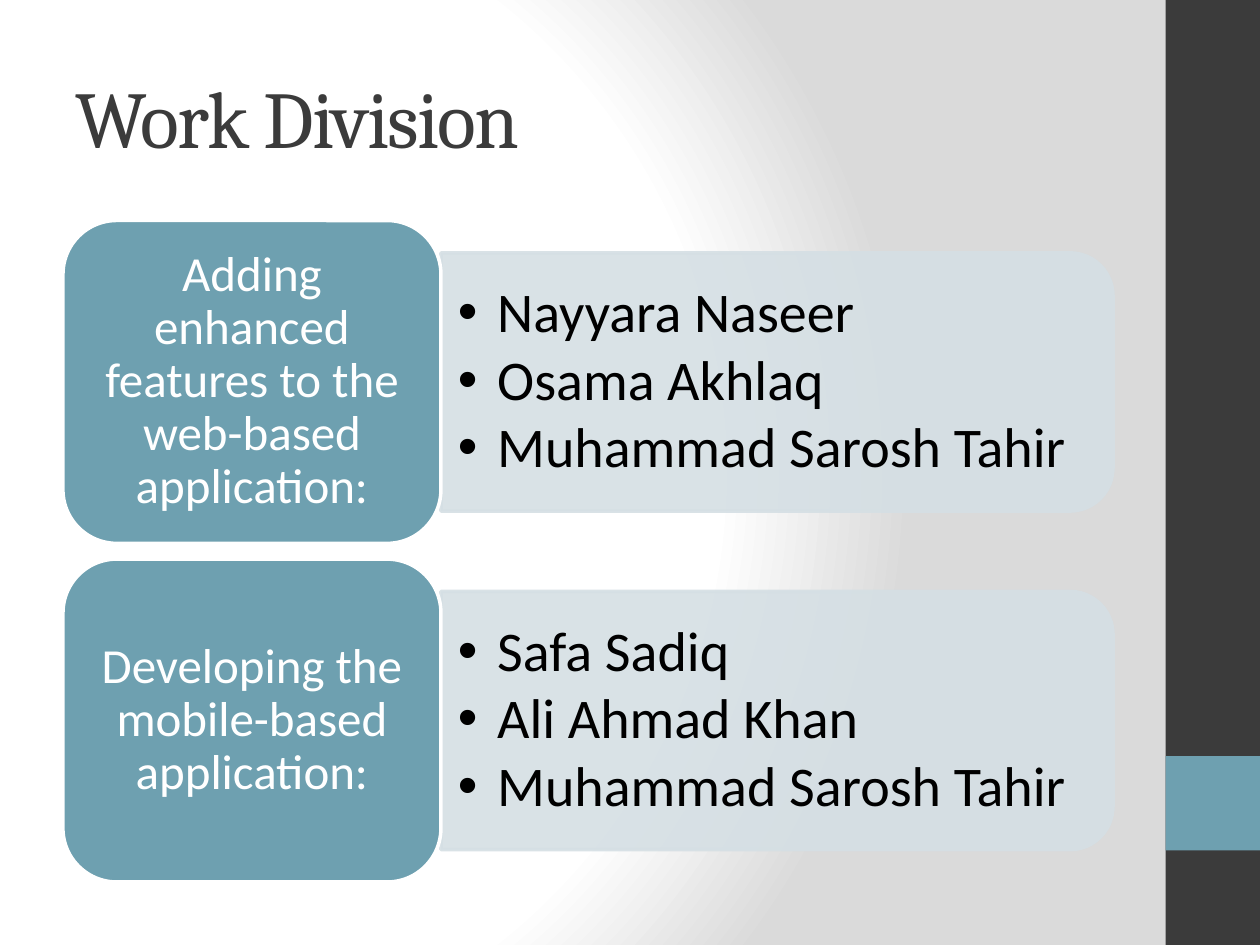
"""Build the Work Division slide."""
from dataclasses import dataclass

from pptx import Presentation
from pptx.dml.color import RGBColor
from pptx.enum.shapes import MSO_SHAPE
from pptx.enum.text import MSO_ANCHOR, MSO_AUTO_SIZE, PP_ALIGN
from pptx.oxml import parse_xml
from pptx.oxml.ns import nsdecls, qn
from pptx.util import Pt

RECTANGLE = MSO_SHAPE.RECTANGLE
ROUNDED = MSO_SHAPE.ROUNDED_RECTANGLE
TOP_ROUNDED = MSO_SHAPE.ROUND_2_SAME_RECTANGLE
MIDDLE = MSO_ANCHOR.MIDDLE
NO_FIT = MSO_AUTO_SIZE.NONE
LEFT = PP_ALIGN.LEFT
CENTER = PP_ALIGN.CENTER

CHARCOAL = RGBColor(0x3B, 0x3B, 0x3B)
TEAL = RGBColor(0x6E, 0xA0, 0xB0)
PALE = RGBColor(0xD5, 0xDF, 0xE4)
SILVER = RGBColor(0xDA, 0xDA, 0xDA)
WHITE = RGBColor(0xFF, 0xFF, 0xFF)
BLACK = RGBColor(0, 0, 0)

PAGE_WIDTH, PAGE_HEIGHT = 720, 540
SIDEBAR_WIDTH = 54
ACCENT_TOP = 432
CARD_LEFT, CARD_TOP = 36, 126
CARD_WIDTH, CARD_HEIGHT = 216, 184.5
CARD_GAP = 9
PANEL_LEFT = CARD_LEFT + CARD_WIDTH
PANEL_WIDTH, PANEL_HEIGHT = 384, 0.8 * CARD_HEIGHT
LIST_WIDTH, LIST_HEIGHT = 376.5, 133
LIST_INDENT = 22.5


@dataclass(frozen=True)
class Task:
    label: str
    members: tuple[str, ...]


TASKS = (
    Task("Adding enhanced features to the web-based application:",
         ("Nayyara Naseer", "Osama Akhlaq", "Muhammad Sarosh Tahir")),
    Task("Developing the mobile-based application:",
         ("Safa Sadiq", "Ali Ahmad Khan", "Muhammad Sarosh Tahir")),
)


def set_background(page) -> None:
    """Fill the page with a circular gradient."""
    stops = "".join(
        f'<a:gs pos="{position * 1000}"><a:srgbClr val="{color}"/></a:gs>'
        for position, color in ((0, WHITE), (75, WHITE), (100, SILVER)))
    page.element.cSld.insert(0, parse_xml(
        f'<p:bg {nsdecls("p", "a")}><p:bgPr><a:gradFill rotWithShape="1">'
        f'<a:gsLst>{stops}</a:gsLst><a:path path="circle">'
        '<a:fillToRect l="20000" t="50000" r="100000" b="50000"/></a:path>'
        '</a:gradFill><a:effectLst/></p:bgPr></p:bg>'))


def place(box, left: float, top: float, width: float, height: float) -> None:
    """Move and size a box."""
    box.left, box.top = Pt(left), Pt(top)
    box.width, box.height = Pt(width), Pt(height)


def add_block(page, kind, left: float, top: float, width: float,
              height: float, fill: RGBColor, line: RGBColor | None = None):
    """Add a flat filled shape with an optional outline."""
    block = page.shapes.add_shape(
        kind, Pt(left), Pt(top), Pt(width), Pt(height))
    block.shadow.inherit = False
    block.fill.solid()
    block.fill.fore_color.rgb = fill
    if line is None:
        block.line.fill.background()
    else:
        block.line.color.rgb = line
        block.line.width = Pt(2)
    return block


def write(box, *lines: str, font: str, size: float, color: RGBColor,
          align=LEFT, inset: tuple[float, float] = (7.2, 3.6),
          spacing: float = 1, after: float = 0, indent: float = 0,
          tracking: float = 0) -> None:
    """Write paragraphs in a box, bulleted when an indent is given."""
    frame = box.text_frame
    frame.word_wrap = True
    frame.auto_size = NO_FIT
    frame.vertical_anchor = MIDDLE
    frame.margin_left = frame.margin_right = Pt(inset[0])
    frame.margin_top = frame.margin_bottom = Pt(inset[1])
    for index, text in enumerate(lines):
        para = frame.add_paragraph() if index else frame.paragraphs[0]
        para.alignment = align
        para.line_spacing = spacing
        para.space_before, para.space_after = Pt(0), Pt(after)
        if indent:
            properties = para._p.get_or_add_pPr()
            properties.set("marL", str(Pt(indent)))
            properties.set("indent", str(-Pt(indent)))
            properties.append(parse_xml(
                f'<a:buChar {nsdecls("a")} char="•"/>'))
        span = para.add_run()
        span.text = text
        span.font.name, span.font.size = font, Pt(size)
        span.font.color.rgb = color
        if tracking:
            span._r.get_or_add_rPr().set("spc", str(int(tracking * 100)))


def add_panel(page, middle: float) -> None:
    """Add a translucent panel turned so its round corners face right."""
    center = PANEL_LEFT + PANEL_WIDTH / 2
    panel = add_block(page, TOP_ROUNDED, center - PANEL_HEIGHT / 2,
                      middle - PANEL_WIDTH / 2, PANEL_HEIGHT, PANEL_WIDTH,
                      PALE, PALE)
    panel.rotation = 90
    for color in panel.element.spPr.iter(qn("a:srgbClr")):
        color.append(parse_xml(f'<a:alpha {nsdecls("a")} val="90000"/>'))


def add_task(page, task: Task, members, top: float) -> None:
    """Add a task card with its member list."""
    middle = top + CARD_HEIGHT / 2
    add_panel(page, middle)
    place(members, PANEL_LEFT, middle - LIST_HEIGHT / 2,
          LIST_WIDTH, LIST_HEIGHT)
    write(members, *task.members, font="Calibri", size=32, color=BLACK,
          inset=(9.6, 4.8), spacing=0.9, after=4, indent=LIST_INDENT)
    page.shapes.element.append(members.element)
    card = add_block(page, ROUNDED, CARD_LEFT, top, CARD_WIDTH, CARD_HEIGHT,
                     TEAL, WHITE)
    write(card, task.label, font="Calibri", size=28, color=WHITE,
          align=CENTER, inset=(8.4, 4.2), spacing=0.9)


def main() -> None:
    """Build and save the deck."""
    deck = Presentation()
    deck.slide_width, deck.slide_height = Pt(PAGE_WIDTH), Pt(PAGE_HEIGHT)
    page = deck.slides.add_slide(deck.slide_layouts[3])
    title, *lists = page.placeholders
    set_background(page)
    sidebar_left = PAGE_WIDTH - SIDEBAR_WIDTH
    add_block(page, RECTANGLE, sidebar_left, 0, SIDEBAR_WIDTH, PAGE_HEIGHT,
              CHARCOAL)
    add_block(page, RECTANGLE, sidebar_left, ACCENT_TOP, SIDEBAR_WIDTH,
              SIDEBAR_WIDTH, TEAL)
    place(title, CARD_LEFT, 21.6, 600, 90)
    write(title, "Work Division", font="Cambria", size=46, color=CHARCOAL,
          tracking=-1)
    for index, (task, members) in enumerate(zip(TASKS, lists)):
        add_task(page, task, members,
                 CARD_TOP + index * (CARD_HEIGHT + CARD_GAP))
    deck.save("out.pptx")


if __name__ == "__main__":
    main()
